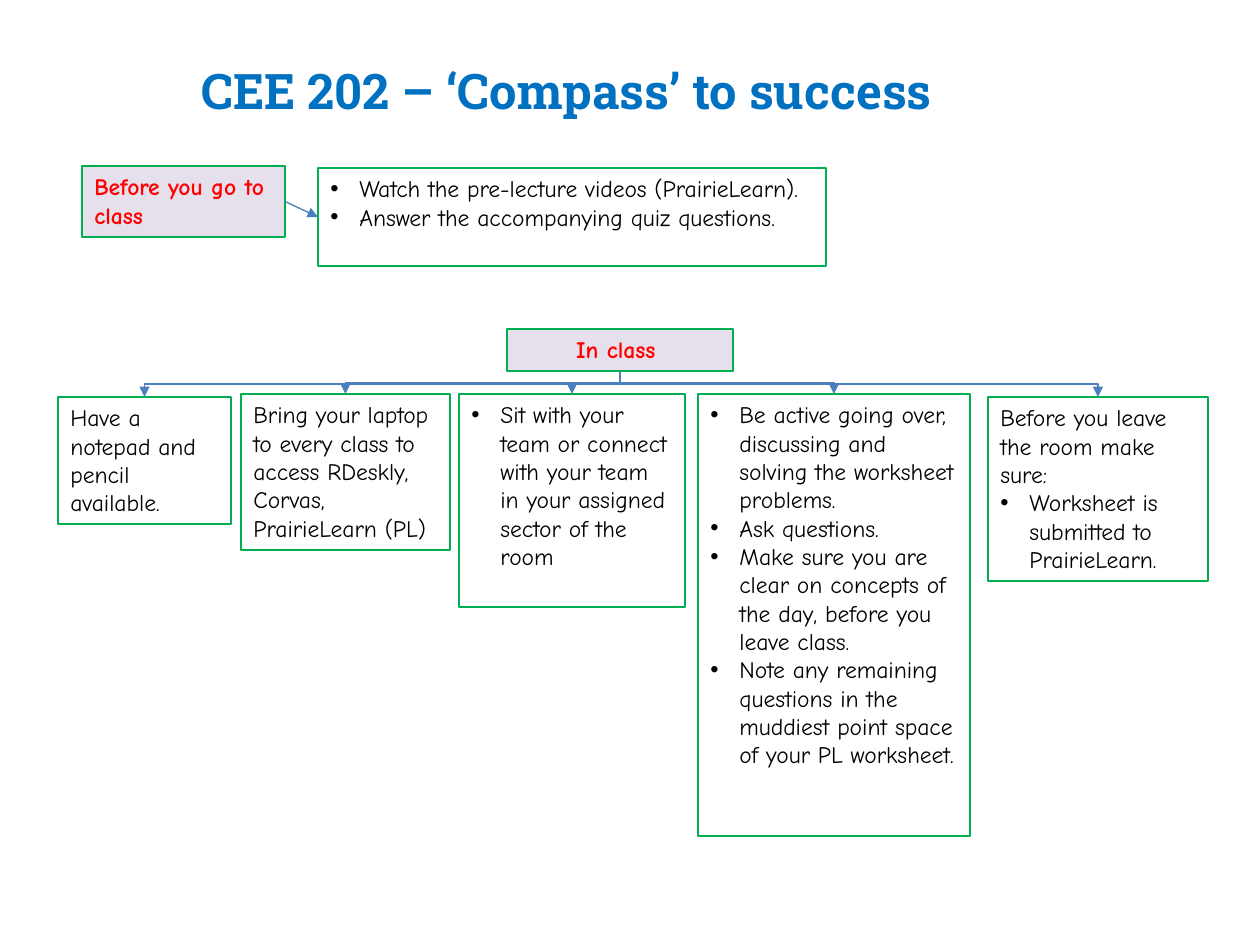
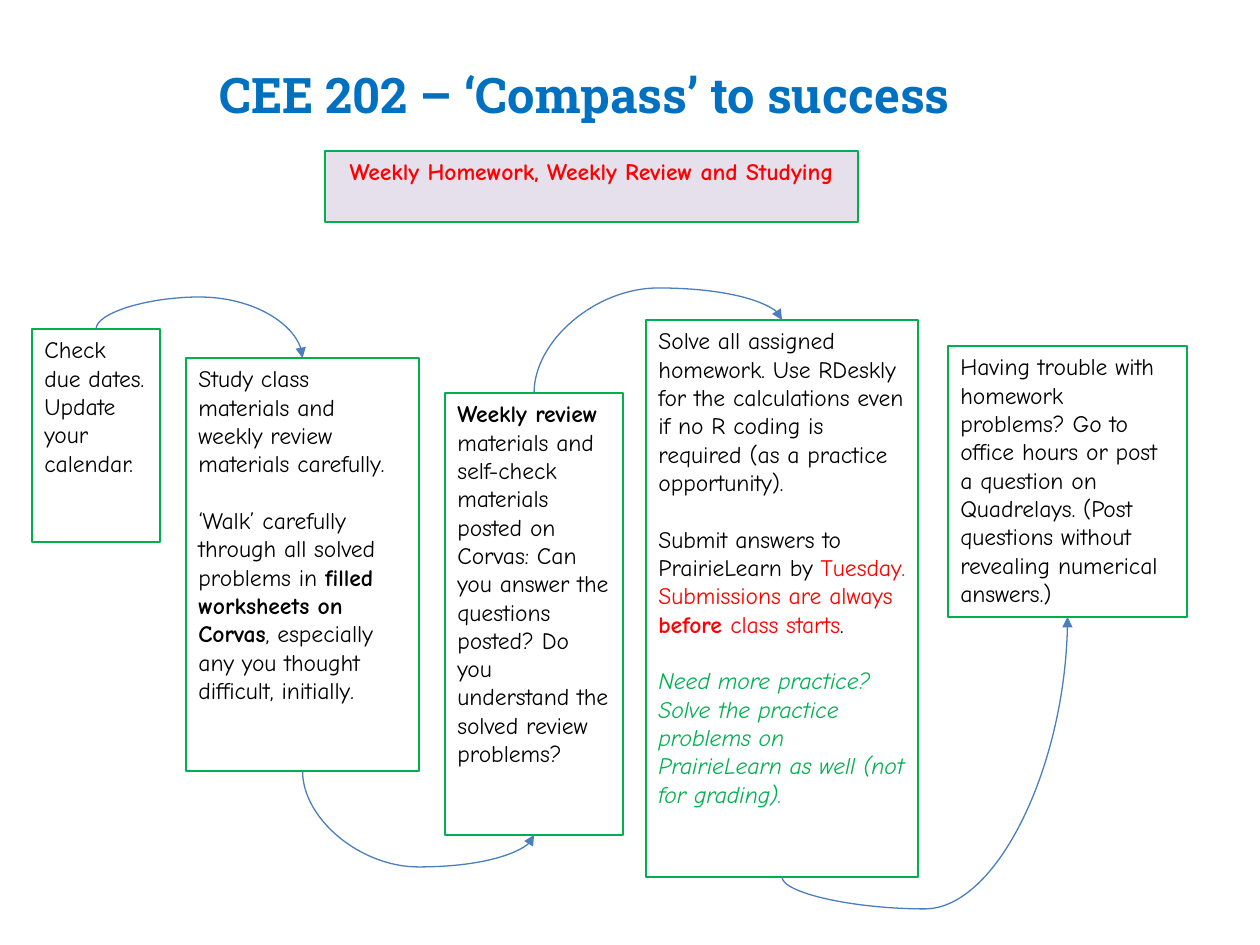
import dataclasses

import lxml.etree
import pptx
import pptx.dml.color
import pptx.enum.shapes
import pptx.enum.text
import pptx.oxml.ns
import pptx.util

qn = pptx.oxml.ns.qn
CONNECTOR = pptx.enum.shapes.MSO_CONNECTOR
TOP, LEFT, BOTTOM, RIGHT = range(4)  # connection sites of a rectangle


@dataclasses.dataclass(frozen=True)
class Theme:
    title_font: str = "Roboto Slab"
    body_font: str = "Comic Neue"
    title_size: float = 28
    body_size: float = 13.5
    body_line: float = 16.2
    rule_width: float = 0.75
    title: str = "0070C0"
    text: str = "000000"
    alert: str = "FF0000"
    green: str = "00B050"
    heading_fill: str = "E6E0EC"
    arrow: str = "4B7EBC"


THEME = Theme()


@dataclasses.dataclass
class Run:
    text: str
    color: str = THEME.text
    bold: bool = False
    italic: bool = False


@dataclasses.dataclass
class Para:
    runs: list
    bullet: bool = False
    gap: bool = False


def px(length):
    return pptx.util.Emu(round(length * 914400 / 126))


def rgb(color):
    return pptx.dml.color.RGBColor.from_string(color)


def plain(text):
    return Para([Run(text)])


def bullet(text):
    return Para([Run(text)], bullet=True)


def within(region, box):
    """Move a box given relative to a region onto the slide."""
    return region[0] + box[0], region[1] + box[1], box[2], box[3]


def add_run(paragraph, run, font, size):
    piece = paragraph.add_run()
    piece.text = run.text
    piece.font.name = font
    piece.font.size = pptx.util.Pt(size)
    piece.font.bold = run.bold
    piece.font.italic = run.italic
    piece.font.color.rgb = rgb(run.color)


def add_bullet(paragraph):
    properties = paragraph._p.get_or_add_pPr()
    properties.set("marL", str(px(29)))
    properties.set("indent", str(-px(29)))
    lxml.etree.SubElement(properties, qn("a:buFont")).set("typeface", "Arial")
    lxml.etree.SubElement(properties, qn("a:buChar")).set("char", "•")


def add_title(slide, box):
    frame = slide.shapes.add_textbox(*map(px, box)).text_frame
    frame.word_wrap = True
    add_run(frame.paragraphs[0],
            Run("CEE 202 – ‘Compass’ to success", THEME.title, bold=True),
            THEME.title_font, THEME.title_size)


def add_card(slide, box, paras, fill=None, align=pptx.enum.text.PP_ALIGN.LEFT):
    card = slide.shapes.add_shape(
        pptx.enum.shapes.MSO_SHAPE.RECTANGLE, *map(px, box))
    card.shadow.inherit = False
    if fill:
        card.fill.solid()
        card.fill.fore_color.rgb = rgb(fill)
    else:
        card.fill.background()
    card.line.color.rgb = rgb(THEME.green)
    card.line.width = pptx.util.Pt(THEME.rule_width)
    frame = card.text_frame
    frame.word_wrap = True
    frame.vertical_anchor = pptx.enum.text.MSO_ANCHOR.TOP
    for index, para in enumerate(paras):
        paragraph = frame.add_paragraph() if index else frame.paragraphs[0]
        if para.bullet:
            add_bullet(paragraph)
        paragraph.alignment = align
        if para.gap:
            paragraph.space_before = pptx.util.Pt(THEME.body_line)
        for run in para.runs:
            add_run(paragraph, run, THEME.body_font, THEME.body_size)
    return card


def add_heading(slide, box, text, align=pptx.enum.text.PP_ALIGN.CENTER):
    return add_card(slide, box, [Para([Run(text, THEME.alert, bold=True)])],
                    THEME.heading_fill, align)


def add_arrow(slide, kind, start, start_site, end, end_site):
    arrow = slide.shapes.add_connector(kind, 0, 0, 0, 0)
    arrow.begin_connect(start, start_site)
    arrow.end_connect(end, end_site)
    arrow.line.color.rgb = rgb(THEME.arrow)
    arrow.line.width = pptx.util.Pt(THEME.rule_width)
    line = arrow.line._get_or_add_ln()
    lxml.etree.SubElement(line, qn("a:tailEnd")).set("type", "triangle")
    lxml.etree.SubElement(arrow._element.spPr, qn("a:effectLst"))
    return arrow


def turn_upright(arrow, bend_y):
    """Make a connector leave and arrive vertically, turning at height bend_y."""
    x1, y1, x2, y2 = arrow.begin_x, arrow.begin_y, arrow.end_x, arrow.end_y
    dx, dy = x2 - x1, y2 - y1
    arrow.width, arrow.height = abs(dy), abs(dx)
    arrow.left = (x1 + x2 - abs(dy)) // 2
    arrow.top = (y1 + y2 - abs(dx)) // 2
    down_right = dx > 0 and dy > 0
    frame = arrow._element.spPr.find(qn("a:xfrm"))
    frame.set("rot", str((270 if down_right else 90) * 60000))
    frame.set("flipH", str(int(down_right or dy < 0)))
    frame.set("flipV", str(int(dx > 0 and dy < 0)))
    shape = arrow._element.spPr.find(qn("a:prstGeom"))
    guides = shape.find(qn("a:avLst"))
    if guides is None:
        guides = lxml.etree.SubElement(shape, qn("a:avLst"))
    guide = lxml.etree.SubElement(guides, qn("a:gd"))
    guide.set("name", "adj1")
    guide.set("fmla", f"val {round((bend_y - y1) / dy * 100000)}")


def add_branch(slide, parent, child):
    arrow = add_arrow(slide, CONNECTOR.ELBOW, parent, BOTTOM, child, TOP)
    turn_upright(arrow, (arrow.begin_y + arrow.end_y) // 2)


def add_arc(slide, start, end, start_site, end_site):
    """Curve from one step to the next, above them or below them."""
    arrow = add_arrow(slide, CONNECTOR.CURVE, start, start_site, end, end_site)
    heights = arrow.begin_y, arrow.end_y
    reach = px(32)
    turn_upright(arrow, min(heights) - reach if start_site == TOP
                 else max(heights) + reach)


def add_before_class(slide, region):
    label = add_heading(slide, within(region, (0, 0, 203, 71)),
                        "Before you go to class",
                        pptx.enum.text.PP_ALIGN.LEFT)
    tasks = add_card(slide, within(region, (236, 2, 508, 98)), [
        bullet("Watch the pre-lecture videos (PrairieLearn)."),
        bullet("Answer the accompanying quiz questions."),
    ])
    add_arrow(slide, CONNECTOR.STRAIGHT, label, RIGHT, tasks, LEFT)


def add_in_class(slide, region):
    heading = add_heading(slide, within(region, (449, 0, 226, 42)), "In class ")
    activities = [
        ((0, 68, 173, 127), [plain("Have a notepad and pencil available.")]),
        ((183, 65, 209, 156), [
            plain("Bring your laptop to every class to access RDeskly, "
                  "Corvas, PrairieLearn (PL)")]),
        ((401, 65, 226, 213), [
            bullet("Sit with your team or connect with your team in your "
                   "assigned sector of the room")]),
        ((640, 65, 272, 442), [
            bullet("Be active going over, discussing and solving the "
                   "worksheet problems."),
            bullet("Ask questions."),
            bullet("Make sure you are clear on concepts of the day, before "
                   "you leave class."),
            bullet("Note any remaining questions in the muddiest point space "
                   "of your PL worksheet.")]),
        ((930, 68, 220, 184), [
            plain("Before you leave the room make sure:"),
            bullet("Worksheet is submitted to PrairieLearn.")]),
    ]
    for box, paras in activities:
        add_branch(slide, heading, add_card(slide, within(region, box), paras))


def add_weekly_work(slide, region):
    add_heading(slide, within(region, (293, 0, 533, 71)),
                "Weekly Homework, Weekly Review and Studying")
    steps = [
        ((0, 178, 128, 213), [plain("Check due dates. Update your calendar.")]),
        ((154, 207, 233, 413), [
            plain("Study class materials and weekly review materials "
                  "carefully."),
            Para([Run("‘Walk’ carefully through all solved problems in "),
                  Run("filled worksheets on Corvas", bold=True),
                  Run(", especially any you thought difficult, initially.")],
                 gap=True)]),
        ((413, 242, 178, 442), [
            Para([Run("Weekly review ", bold=True),
                  Run("materials and self-check materials posted on Corvas: "
                      "Can you answer the questions posted? Do you "
                      "understand the solved review problems?")])]),
        ((614, 169, 272, 557), [
            plain("Solve all assigned homework. Use RDeskly for the "
                  "calculations even if no R coding is required (as a "
                  "practice opportunity)."),
            Para([Run("Submit answers to PrairieLearn by "),
                  Run("Tuesday. Submissions are always ", THEME.alert),
                  Run("before ", THEME.alert, bold=True),
                  Run("class starts", THEME.alert),
                  Run(".")], gap=True),
            Para([Run("Need more practice? Solve the practice problems on "
                      "PrairieLearn as well (not for grading).",
                      THEME.green, italic=True)], gap=True)]),
        ((916, 195, 239, 271), [
            plain("Having trouble with homework problems? Go to office hours "
                  "or post a question on Quadrelays. (Post questions without "
                  "revealing numerical answers.)")]),
    ]
    cards = [add_card(slide, within(region, box), paras)
             for box, paras in steps]
    sites = [(TOP, TOP), (BOTTOM, BOTTOM)] * 2
    for start, end, (start_site, end_site) in zip(cards, cards[1:], sites):
        add_arc(slide, start, end, start_site, end_site)


def main():
    deck = pptx.Presentation()
    deck.slide_width, deck.slide_height = px(1260), px(945)
    blank = deck.slide_layouts[6]

    class_day = deck.slides.add_slide(blank)
    add_title(class_day, (189, 54, 861, 72))
    add_before_class(class_day, (82, 166, 744, 100))
    add_in_class(class_day, (58, 329, 1150, 507))

    week = deck.slides.add_slide(blank)
    add_title(week, (207, 58, 861, 72))
    add_weekly_work(week, (32, 151, 1155, 726))

    deck.save("out.pptx")


if __name__ == "__main__":
    main()
